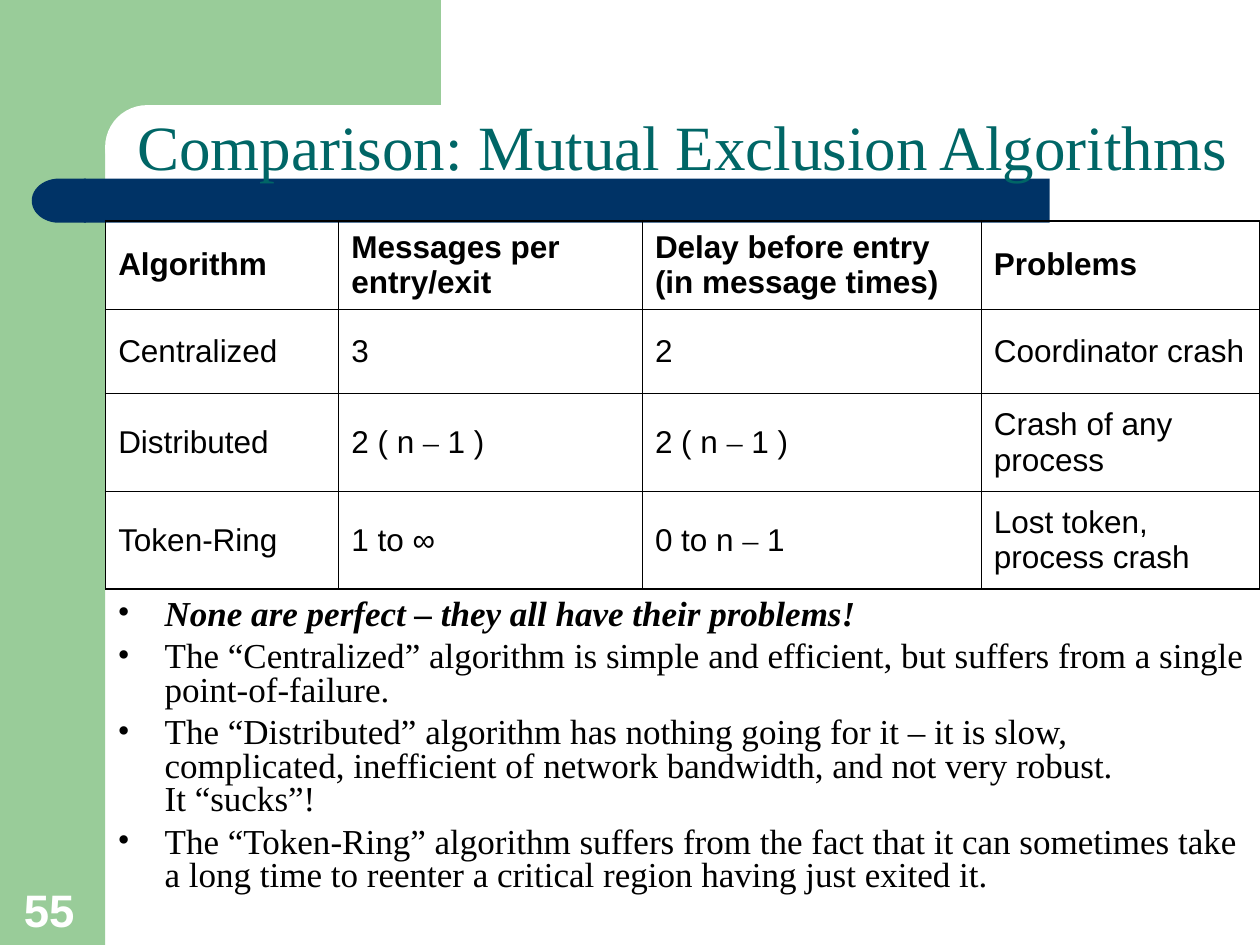
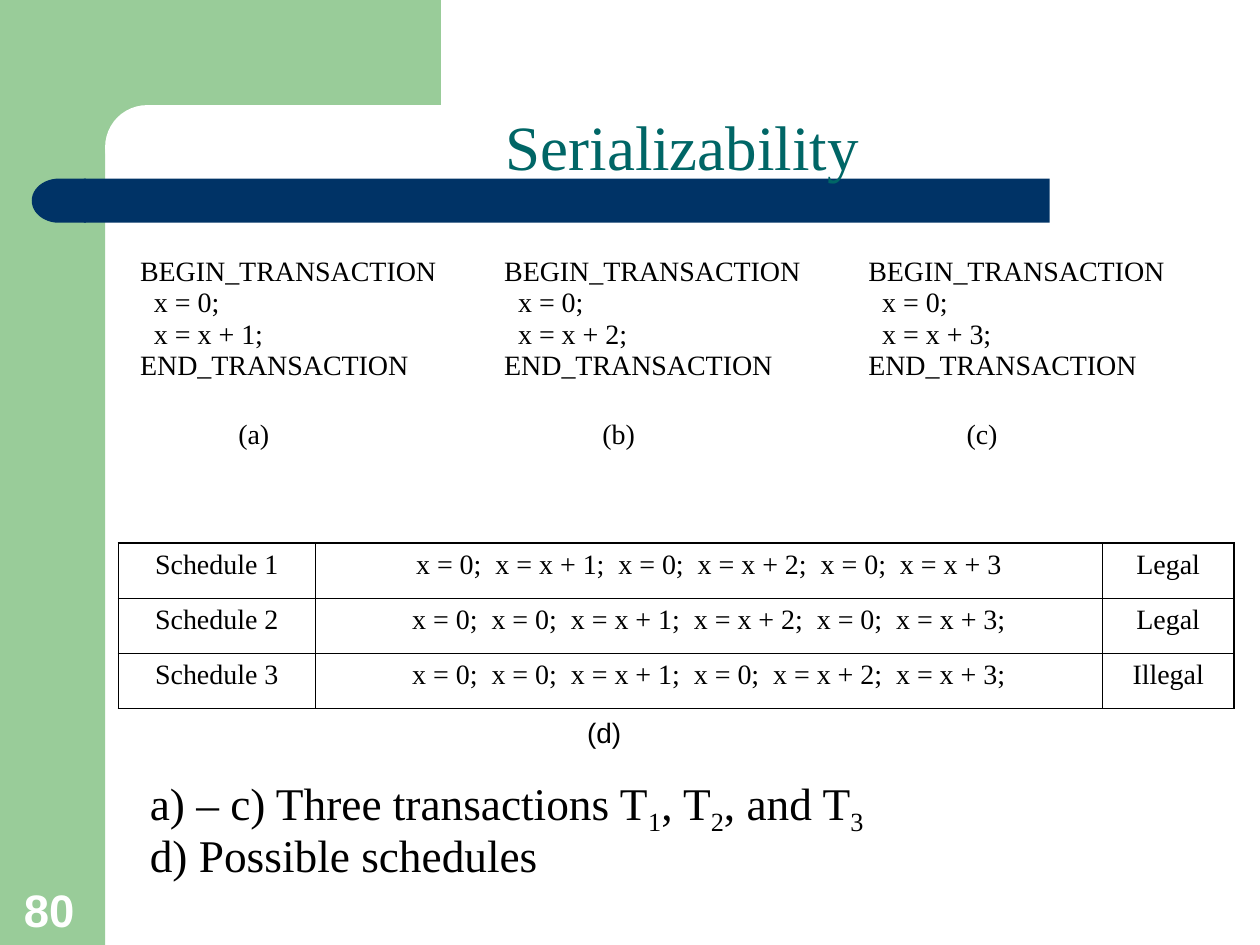
from collections import namedtuple
from dataclasses import dataclass, replace

from lxml.etree import SubElement
from pptx import Presentation
from pptx.dml.color import RGBColor
from pptx.enum.shapes import MSO_SHAPE
from pptx.enum.text import MSO_ANCHOR, PP_ALIGN
from pptx.oxml.ns import qn
from pptx.util import Cm, Pt

GREEN = RGBColor(0x99, 0xCC, 0x99)
NAVY = RGBColor(0x00, 0x33, 0x66)
TEAL = RGBColor(0x00, 0x66, 0x66)
WHITE = RGBColor(0xFF, 0xFF, 0xFF)
BLACK = RGBColor(0x00, 0x00, 0x00)
SERIF = "Times New Roman"
SANS = "Arial"
OUTER_LINE = 1.08
INNER_LINE = 0.45

Span = namedtuple("Span", "text font baseline", defaults=(None, None))


@dataclass(frozen=True)
class Look:
    size: float
    font: str = SERIF
    color: RGBColor = BLACK
    bold: bool = False
    italic: bool = False
    align: PP_ALIGN = PP_ALIGN.LEFT
    before: float = 0
    spacing: float = 1.0
    margin: float = 0
    hanging: float = 0
    bullet: str = ""


TITLE = Look(36, color=TEAL, align=PP_ALIGN.CENTER)
NUMBER = Look(26, SANS, WHITE, bold=True)
POINT = Look(20, before=5, spacing=0.8, margin=0.95, hanging=0.95, bullet="•")
SUMMARY = Look(25.9, before=7, spacing=0.7, margin=0.95, hanging=0.95)
COMPARISON = Look(18, SANS, before=4.5)
SCHEDULE = Look(16, align=PP_ALIGN.CENTER, before=4)
CODE = Look(16)
STEP = replace(CODE, margin=0.28)
CAPTION = replace(CODE, margin=1.98, before=22)
TABLE_CAPTION = Look(16, SANS, align=PP_ALIGN.CENTER, before=10)


class Deck:
    def __init__(self):
        self.presentation = Presentation()
        self.presentation.slide_width = Cm(25.4)
        self.presentation.slide_height = Cm(19.05)
        self.slide = None

    def start_slide(self, title, number):
        blank = self.presentation.slide_layouts[6]
        self.slide = self.presentation.slides.add_slide(blank)
        self.block(MSO_SHAPE.RECTANGLE, (0, 0, 2.12, 19.05), GREEN)
        self.block(MSO_SHAPE.RECTANGLE, (1.9, 0, 6.99, 2.96), GREEN)
        corner = self.block(MSO_SHAPE.ROUNDED_RECTANGLE, (2.12, 2.12, 8.68, 1.69), WHITE)
        corner.adjustments[0] = 0.5
        self.text((0.23, 17.63, 1.63, 1.37), [(number, NUMBER)], MSO_ANCHOR.BOTTOM)
        self.block(MSO_SHAPE.RECTANGLE, (1.69, 3.6, 19.47, 0.89), NAVY)
        cap = self.block(MSO_SHAPE.FLOWCHART_DELAY, (0.64, 3.6, 1.09, 0.89), NAVY)
        cap.rotation = 180
        self.text((2.12, 2.12, 23.28, 1.69), [(title, TITLE)], MSO_ANCHOR.BOTTOM)

    def block(self, kind, box, color):
        shape = self.slide.shapes.add_shape(kind, *map(Cm, box))
        shape.shadow.inherit = False
        shape.fill.solid()
        shape.fill.fore_color.rgb = color
        shape.line.fill.background()
        return shape

    def text(self, box, lines, anchor=MSO_ANCHOR.TOP):
        frame = self.slide.shapes.add_textbox(*map(Cm, box)).text_frame
        frame.word_wrap = True
        frame.vertical_anchor = anchor
        self.fill_frame(frame, lines)

    def fill_frame(self, frame, lines):
        for index, (content, look) in enumerate(lines):
            paragraph = frame.add_paragraph() if index else frame.paragraphs[0]
            if isinstance(content, str):
                paragraph.text = content
            else:
                self.add_spans(paragraph, content)
            self.style(paragraph, look)

    def add_spans(self, paragraph, spans):
        for span in spans:
            run = paragraph.add_run()
            run.text = span.text
            if span.font:
                run.font.name = span.font
            if span.baseline:
                run._r.get_or_add_rPr().set("baseline", str(span.baseline))

    def style(self, paragraph, look):
        paragraph.alignment = look.align
        paragraph.line_spacing = look.spacing
        paragraph.space_before = Pt(look.before)
        properties = paragraph._p.get_or_add_pPr()
        properties.set("marL", str(Cm(look.margin)))
        properties.set("indent", str(-Cm(look.hanging)))
        if look.bullet:
            SubElement(properties, qn("a:buFont")).set("typeface", SERIF)
            SubElement(properties, qn("a:buChar")).set("char", look.bullet)
        font = paragraph.font
        font.name = look.font
        font.size = Pt(look.size)
        font.bold = look.bold
        font.italic = look.italic
        font.color.rgb = look.color

    def table(self, corner, widths, heights, rows, anchor=MSO_ANCHOR.TOP, ruled=True):
        extent = (sum(widths), sum(heights))
        table = self.slide.shapes.add_table(
            len(rows), len(widths), *map(Cm, corner + extent)).table
        table.first_row = table.horz_banding = False
        for column, width in zip(table.columns, widths):
            column.width = Cm(width)
        for row, height in zip(table.rows, heights):
            row.height = Cm(height)
        for r, row in enumerate(rows):
            for c, lines in enumerate(row):
                cell = table.cell(r, c)
                cell.vertical_anchor = anchor
                self.fill_frame(cell.text_frame, lines)
                outer = {"lnL": c == 0, "lnR": c == len(widths) - 1,
                         "lnT": r == 0, "lnB": r == len(rows) - 1}
                self.border(cell, outer, ruled)
                cell.fill.background()

    def border(self, cell, outer, ruled):
        properties = cell._tc.get_or_add_tcPr()
        for side, is_outer in outer.items():
            line = SubElement(properties, qn(f"a:{side}"))
            if ruled:
                line.set("w", str(Pt(OUTER_LINE if is_outer else INNER_LINE)))
                ink = SubElement(line, qn("a:solidFill"))
                SubElement(ink, qn("a:srgbClr")).set("val", str(BLACK))
            else:
                SubElement(line, qn("a:noFill"))


def build_comparison(deck):
    deck.start_slide("Comparison: Mutual Exclusion Algorithms", "55")
    points = [
        "The “Centralized” algorithm is simple and efficient, but suffers from a "
        "single point-of-failure.",
        "The “Distributed” algorithm has nothing going for it – it is slow, "
        "complicated, inefficient of network bandwidth, and not very robust.\n"
        "It “sucks”!",
        "The “Token-Ring” algorithm suffers from the fact that it can sometimes "
        "take a long time to reenter a critical region having just exited it.",
    ]
    verdict = ("None are perfect – they all have their problems!",
               replace(POINT, bold=True, italic=True))
    deck.text((2.12, 11.96, 23.28, 6.88), [verdict] + [(point, POINT) for point in points])

    dash = Span("–", SERIF)
    twice_others = [Span("2 ( n "), dash, Span(" 1 )")]
    headings = ["Algorithm", "Messages per entry/exit",
                "Delay before entry (in message times)", "Problems"]
    algorithms = [
        ["Centralized", "3", "2", "Coordinator crash"],
        ["Distributed", twice_others, twice_others, "Crash of any process"],
        ["Token-Ring", "1 to ∞", [Span("0 to n "), dash, Span(" 1")],
         "Lost token, process crash"],
    ]
    heading_look = replace(COMPARISON, bold=True)
    rows = [[[(heading, heading_look)] for heading in headings]]
    rows += [[[(value, COMPARISON)] for value in algorithm] for algorithm in algorithms]
    deck.table((2.13, 4.45), (4.7, 6.12, 6.83, 5.62), (1.78, 1.7, 1.98, 1.96),
               rows, MSO_ANCHOR.MIDDLE)


def build_serializability(deck):
    deck.start_slide("Serializability", "80")
    transactions = [Span("a) – c) Three transactions T"), Span("1", None, -25000),
                    Span(", T"), Span("2", None, -25000),
                    Span(", and T"), Span("3", None, -25000)]
    deck.text((2.77, 15.72, 21.16, 2.34),
              [(transactions, SUMMARY), ("d) Possible schedules", SUMMARY)])

    listings = [[("BEGIN_TRANSACTION", CODE), ("x = 0;", STEP),
                 (f"x = x + {increment};", STEP), ("END_TRANSACTION", CODE),
                 (f"({letter})", CAPTION)]
                for increment, letter in enumerate("abc", 1)]
    deck.table((2.57, 5.05), (7.34,) * 3, (4.47,), [listings], ruled=False)

    schedules = [
        ("Schedule 1", "x = 0;  x = x + 1;  x = 0;  x = x + 2;  x = 0;  x = x + 3", "Legal"),
        ("Schedule 2", "x = 0;  x = 0;  x = x + 1;  x = x + 2;  x = 0;  x = x + 3;", "Legal"),
        ("Schedule 3", "x = 0;  x = 0;  x = x + 1;  x = 0;  x = x + 2;  x = x + 3;", "Illegal"),
    ]
    deck.table((2.39, 10.95), (3.96, 15.88, 2.64), (1.11,) * 3,
               [[[(value, SCHEDULE)] for value in schedule] for schedule in schedules])
    deck.text((10.62, 14.3, 3.12, 0.94), [("(d)", TABLE_CAPTION)])


def main():
    deck = Deck()
    build_comparison(deck)
    build_serializability(deck)
    deck.presentation.save("out.pptx")


if __name__ == "__main__":
    main()
